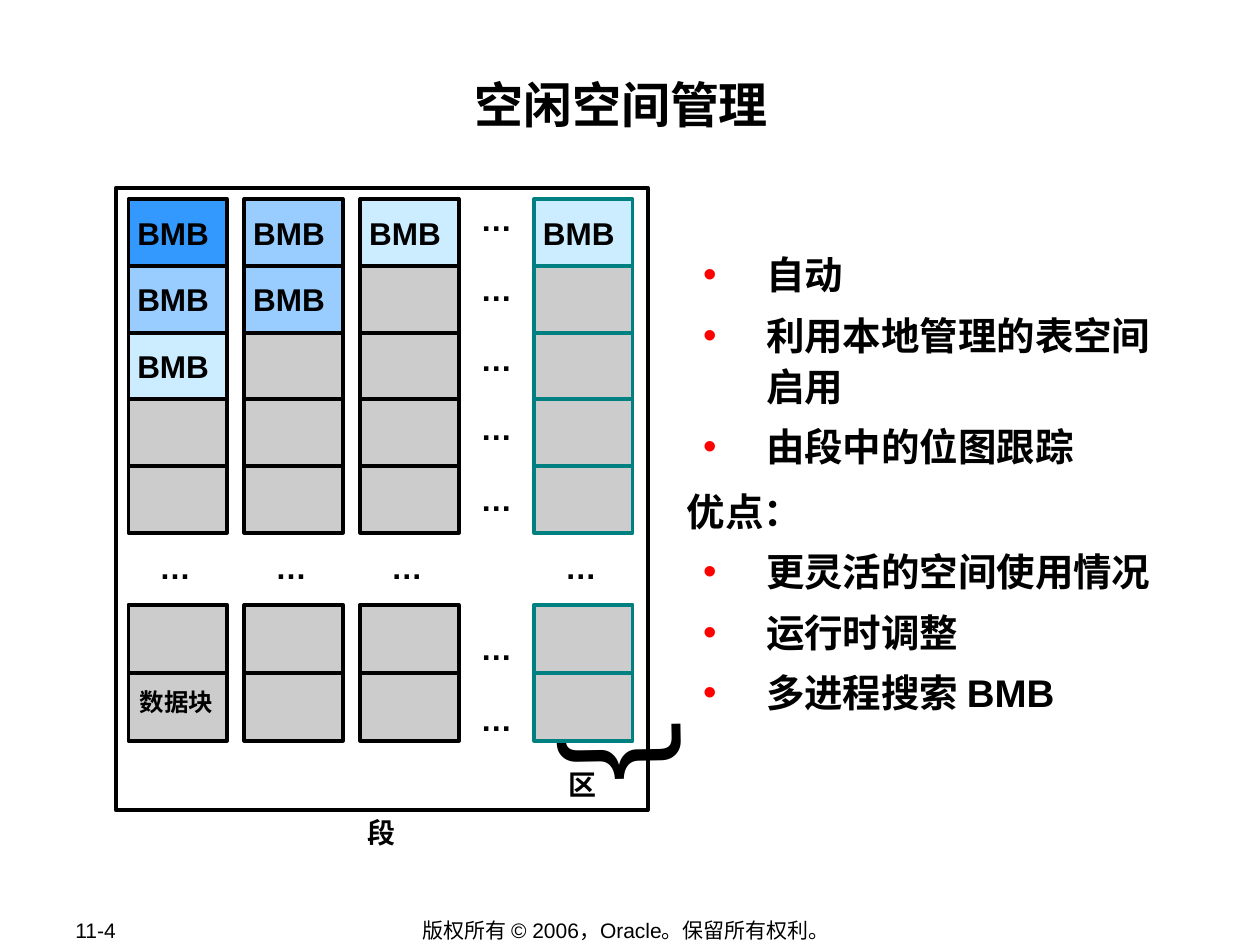
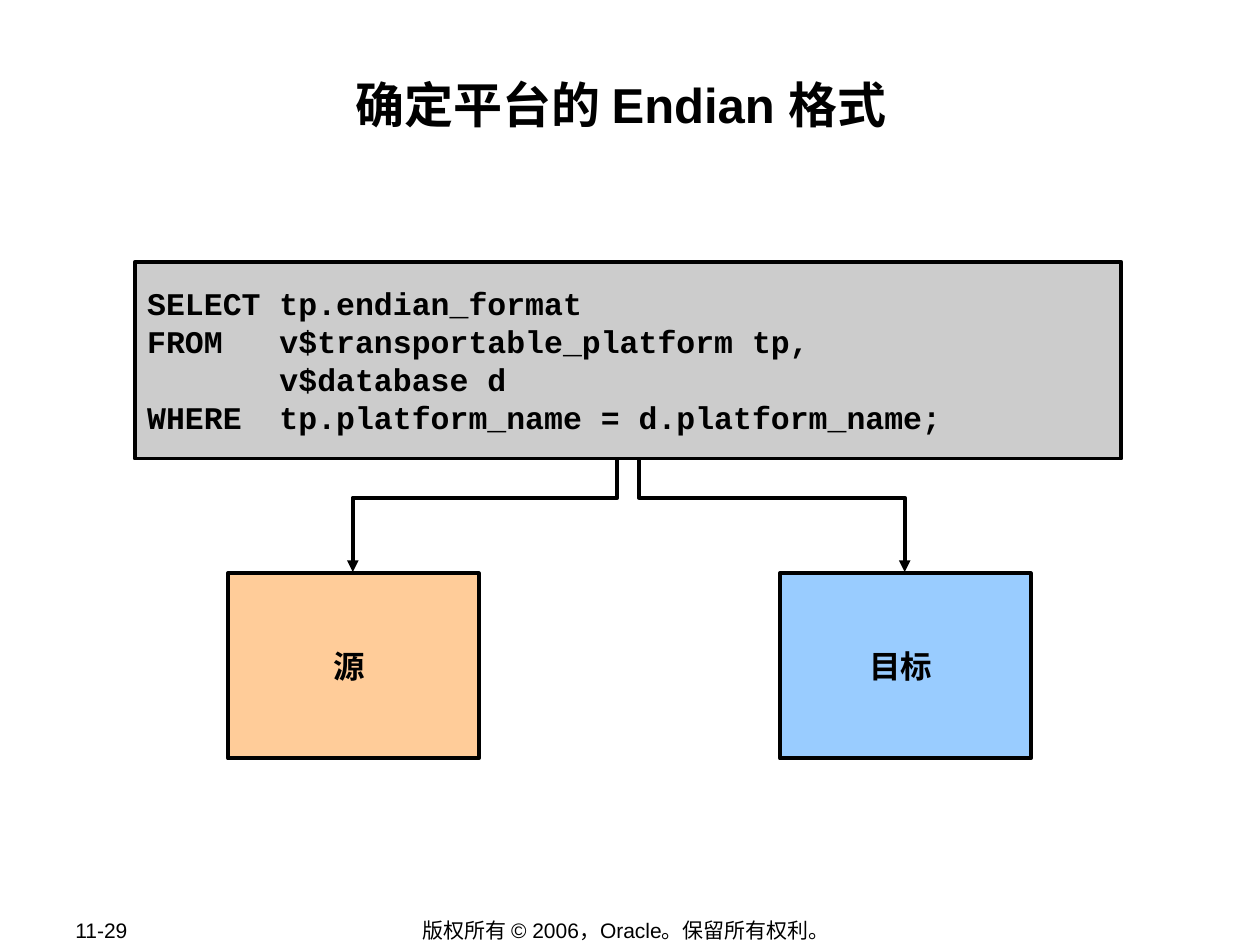
from lxml import etree
from pptx import Presentation
from pptx.dml.color import RGBColor
from pptx.enum.shapes import MSO_SHAPE
from pptx.enum.text import MSO_ANCHOR, MSO_AUTO_SIZE, PP_ALIGN
from pptx.oxml.ns import qn
from pptx.util import Pt

PX = 9144
BLACK = RGBColor(0x00, 0x00, 0x00)
TEAL = RGBColor(0x00, 0x80, 0x80)
GRAY = RGBColor(0xCC, 0xCC, 0xCC)
PALE_BLUE = RGBColor(0xCC, 0xEC, 0xFF)
LIGHT_BLUE = RGBColor(0x99, 0xCC, 0xFF)
STRONG_BLUE = RGBColor(0x33, 0x99, 0xFF)
ORANGE = RGBColor(0xFF, 0xCC, 0x99)
RED = RGBColor(0xFF, 0x00, 0x00)

RECTANGLE = MSO_SHAPE.RECTANGLE
TOP, MIDDLE = MSO_ANCHOR.TOP, MSO_ANCHOR.MIDDLE
LEFT, CENTER = PP_ALIGN.LEFT, PP_ALIGN.CENTER
NO_AUTOFIT = MSO_AUTO_SIZE.NONE

CONTENT_LAYOUT, TITLE_LAYOUT = 1, 5
ARIAL, COURIER, CHINESE = "Arial", "Courier New", "Noto Sans CJK SC"
COPYRIGHT = "版权所有 © 2006，Oracle。保留所有权利。"

WIDE_INSETS = (10, 5, 10, 5)
LABEL_INSETS = (10, 5, 17, 5)
TIGHT_INSETS = (1, 1, 1, 1)
TITLE_INSETS = (1, 1, 9, 1)
CODE_INSETS = (10, 1, 10, 1)


class SlideBuilder:
    def __init__(self, presentation):
        self.presentation = presentation
        self.slide = None

    def start(self, layout, title, number):
        self.slide = self.presentation.slides.add_slide(
            self.presentation.slide_layouts[layout])
        shape = self.slide.shapes.title
        self.place(shape, 97, 58, 800, 96)
        self.set_text(shape, title, 28, insets=TITLE_INSETS, anchor=TOP)
        self.label(50, 728, 106, 20, number, 12, bold=False,
                   align=LEFT, anchor=MIDDLE)
        self.label(276, 728, 449, 21, COPYRIGHT, 12, bold=False,
                   insets=LABEL_INSETS, anchor=MIDDLE)

    def place(self, shape, left, top, width, height):
        shape.left, shape.top = left * PX, top * PX
        shape.width, shape.height = width * PX, height * PX

    def set_text(self, shape, text, size, font=ARIAL, bold=True, align=CENTER,
                 insets=WIDE_INSETS, anchor=MIDDLE, wrap=True, spacing=1.0):
        frame = shape.text_frame
        frame.text = text
        frame.auto_size = NO_AUTOFIT
        frame.word_wrap = wrap
        frame.vertical_anchor = anchor
        frame.margin_left, frame.margin_top, frame.margin_right, frame.margin_bottom = (
            inset * PX for inset in insets)
        for paragraph in frame.paragraphs:
            paragraph.alignment = align
            paragraph.line_spacing = spacing
            paragraph.space_before = Pt(0)
            for run in paragraph.runs:
                run.font.name = font
                run.font.size = Pt(size)
                run.font.bold = bold
                run.font.color.rgb = BLACK
                east_asian = etree.SubElement(run.font._element, qn("a:ea"))
                east_asian.set("typeface", CHINESE)

    def label(self, left, top, width, height, text, size, anchor=TOP,
              wrap=False, rotation=0, **style):
        shape = self.slide.shapes.add_textbox(
            left * PX, top * PX, width * PX, height * PX)
        shape.rotation = rotation
        self.set_text(shape, text, size, anchor=anchor, wrap=wrap, **style)

    def outline(self, shape, color):
        shape.shadow.inherit = False
        shape.line.color.rgb = color
        shape.line.width = Pt(2.25)

    def box(self, left, top, width, height, fill=None, border=BLACK,
            text="", **style):
        shape = self.slide.shapes.add_shape(
            RECTANGLE, left * PX, top * PX, width * PX, height * PX)
        self.outline(shape, border)
        if fill is None:
            shape.fill.background()
        else:
            shape.fill.solid()
            shape.fill.fore_color.rgb = fill
        if text:
            settings = {"insets": LABEL_INSETS, "wrap": False, **style}
            self.set_text(shape, text, 18, **settings)

    def ellipsis(self, left, top):
        self.label(left, top, 28, 33, "…", 18, insets=TIGHT_INSETS)

    def arrow(self, points):
        builder = self.slide.shapes.build_freeform(*points[0], scale=PX)
        builder.add_line_segments(points[1:], close=False)
        shape = builder.convert_to_shape()
        shape.fill.background()
        self.outline(shape, BLACK)
        line = shape._element.spPr.find(qn("a:ln"))
        etree.SubElement(line, qn("a:tailEnd")).set("type", "triangle")

    def bullet_list(self, left, top, width, height, items, headings):
        shape = self.slide.placeholders[1]
        self.place(shape, left, top, width, height)
        self.set_text(shape, "\n".join(items), 22, align=LEFT,
                      insets=TIGHT_INSETS, anchor=TOP, spacing=Pt(29))
        for index, paragraph in enumerate(shape.text_frame.paragraphs):
            is_heading = paragraph.text in headings
            if index:
                paragraph.space_before = Pt(8.2 if is_heading else 5.5)
            properties = paragraph._p.get_or_add_pPr()
            if is_heading:
                properties.set("marL", "0")
                properties.set("indent", "0")
                etree.SubElement(properties, qn("a:buNone"))
                continue
            paragraph.level = 1
            properties.set("marL", str(63 * PX))
            properties.set("indent", str(-50 * PX))
            color = etree.SubElement(properties, qn("a:buClr"))
            etree.SubElement(color, qn("a:srgbClr")).set("val", str(RED))
            etree.SubElement(properties, qn("a:buFont")).set("typeface", ARIAL)
            etree.SubElement(properties, qn("a:buChar")).set("char", "•")


def free_space_slide(builder):
    builder.start(CONTENT_LAYOUT, "空闲空间管理", "11-4")
    builder.bullet_list(
        544, 195, 387, 375,
        ["自动", "利用本地管理的表空间启用", "由段中的位图跟踪", "优点：",
         "更灵活的空间使用情况", "运行时调整", "多进程搜索 BMB"],
        headings=["优点："])

    builder.label(452, 546, 51, 137, "{", 76, font=COURIER, bold=False,
                  align=LEFT, wrap=True, rotation=269)
    builder.label(433, 604, 58, 37, "区", 16, font=CHINESE)
    builder.box(92, 149, 422, 494)

    extents = [
        (102, BLACK, [STRONG_BLUE, LIGHT_BLUE, PALE_BLUE]),
        (194, BLACK, [LIGHT_BLUE, LIGHT_BLUE]),
        (286, BLACK, [PALE_BLUE]),
        (424, TEAL, [PALE_BLUE]),
    ]
    for left, border, bitmap_fills in extents:
        for row in range(5):
            top = 158 + 53 * row
            if row < len(bitmap_fills):
                builder.box(left, top, 78, 53, bitmap_fills[row], border, "BMB")
            else:
                builder.box(left, top, 78, 53, GRAY, border)
        for top in (480, 534):
            builder.box(left, top, 78, 54, GRAY, border)
        builder.ellipsis(left + 23, 434)
    for top in [158 + 111 * row // 2 for row in range(5)] + [498, 555]:
        builder.ellipsis(380, top)

    builder.label(101, 540, 78, 31, "数据块", 14, font=CHINESE, align=LEFT)
    builder.label(282, 642, 42, 37, "段", 16)


def endian_slide(builder):
    builder.start(TITLE_LAYOUT, "确定平台的 Endian 格式", "11-29")
    query = "\n".join([
        "SELECT tp.endian_format",
        "FROM   v$transportable_platform tp,",
        "       v$database d",
        "WHERE  tp.platform_name = d.platform_name;",
    ])
    targets = [(181, ORANGE, "源", 490), (619, LIGHT_BLUE, "目标", 507)]
    for left, fill, label, start in targets:
        builder.box(left, 455, 199, 147, fill, text=label)
        end = left + 99
        builder.arrow([(start, 364), (start, 395), (end, 395), (end, 454)])
    builder.box(107, 208, 783, 156, GRAY, text=query, font=COURIER,
                align=LEFT, insets=CODE_INSETS, wrap=True, spacing=Pt(21.7))


def main():
    presentation = Presentation()
    presentation.slide_width = 1000 * PX
    presentation.slide_height = 750 * PX
    builder = SlideBuilder(presentation)
    free_space_slide(builder)
    endian_slide(builder)
    presentation.save("out.pptx")


if __name__ == "__main__":
    main()
